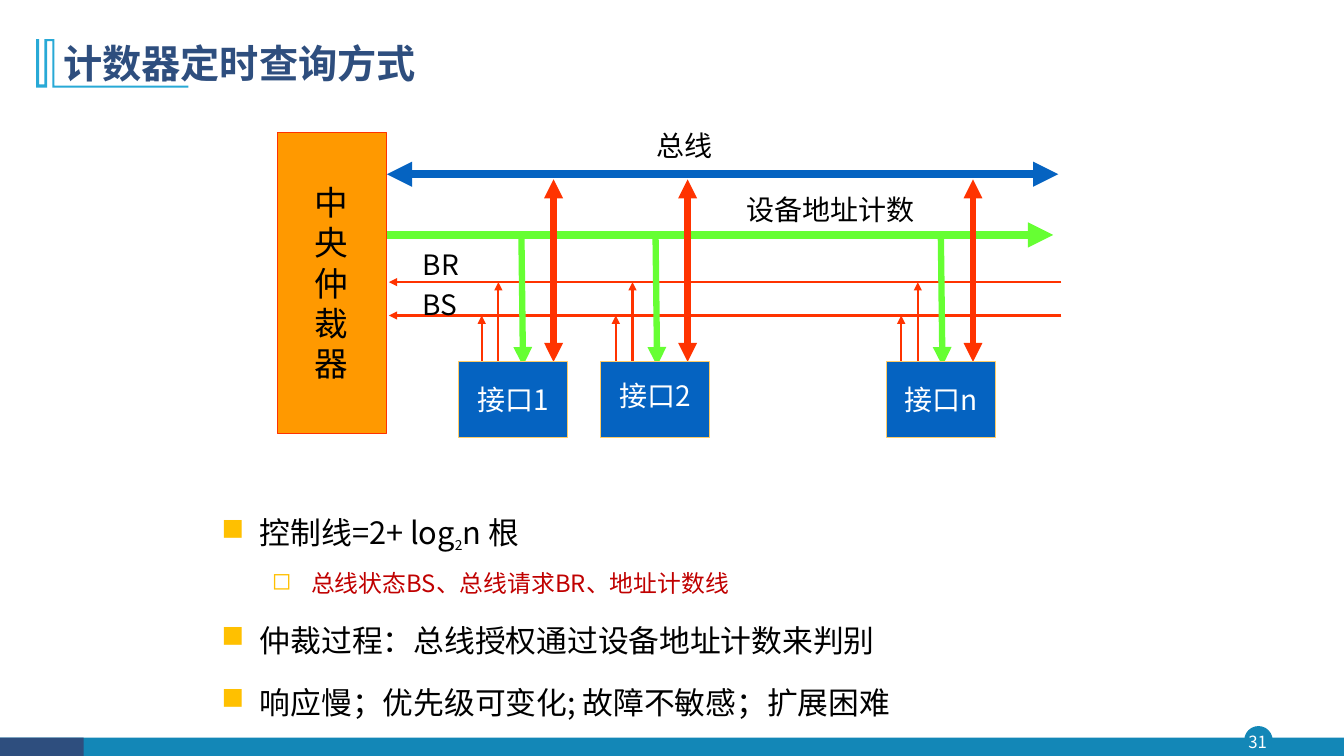
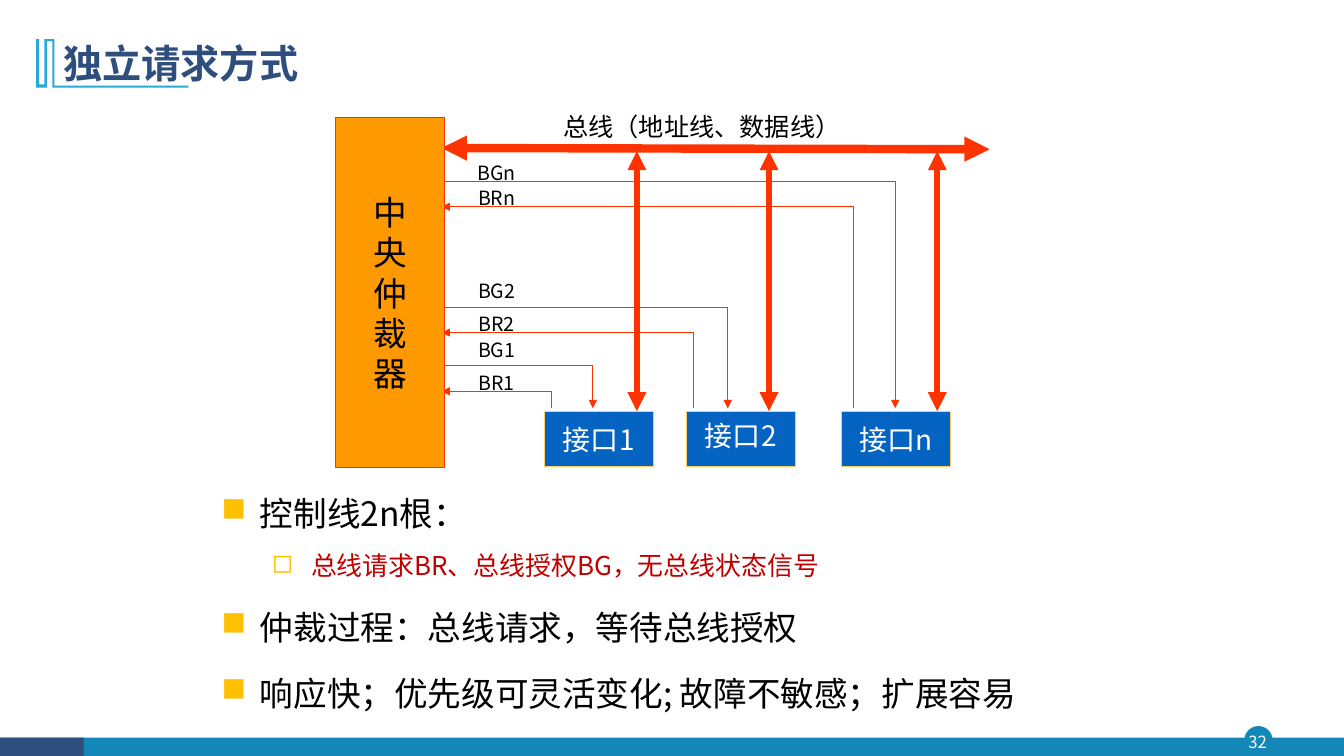
from dataclasses import dataclass

from lxml.etree import SubElement
from pptx import Presentation
from pptx.dml.color import RGBColor
from pptx.enum.shapes import MSO_CONNECTOR, MSO_SHAPE
from pptx.enum.text import MSO_ANCHOR, PP_ALIGN
from pptx.oxml.ns import qn
from pptx.util import Cm, Pt


@dataclass(frozen=True)
class Theme:
    font: str = "Noto Sans CJK SC"
    navy: str = "2E4E7E"
    teal: str = "1387B7"
    sky: str = "28A9D6"
    blue: str = "0563C1"
    red: str = "FF3300"
    green: str = "66FF33"
    orange: str = "FF9900"
    sand: str = "FFCC66"
    amber: str = "FFC000"
    crimson: str = "C00000"
    black: str = "000000"
    white: str = "FFFFFF"
    title_size: float = 28
    arbiter_size: float = 24
    label_size: float = 20
    bus_size: float = 18
    signal_size: float = 14
    page_size: float = 12
    line_height: float = 1.2
    body_spacing: float = 1.56
    thick: float = 6
    medium: float = 4.5
    thin: float = 1.5
    hair: float = 0.75


THEME = Theme()
BLOCK_WIDTH = 2.74
TITLE_MARK = [
    (1.37, 0.99), (1.37, 2.16), (4.75, 2.16), (4.75, 2.21), (1.32, 2.21),
    (1.32, 1.04), (1.19, 1.04), (1.19, 2.21), (0.91, 2.21), (0.91, 0.99),
    (0.99, 0.99), (0.99, 2.13), (1.12, 2.13), (1.12, 0.99),
]


def rgb(color):
    return RGBColor.from_string(color)


def style_paragraph(paragraph, size, color, spacing=THEME.line_height, bold=False):
    paragraph.line_spacing = Pt(round(size * spacing, 1))
    font = paragraph.font
    font.size = Pt(size)
    font.bold = bold
    font.color.rgb = rgb(color)
    font.name = THEME.font
    defaults = paragraph._p.get_or_add_pPr().find(qn("a:defRPr"))
    SubElement(defaults, qn("a:ea"), typeface=THEME.font)


def write(frame, text, size, color, align=PP_ALIGN.CENTER, bold=False):
    for index, line in enumerate(text.split("\n")):
        paragraph = frame.paragraphs[0] if index == 0 else frame.add_paragraph()
        paragraph.alignment = align
        paragraph.add_run().text = line
        style_paragraph(paragraph, size, color, bold=bold)


def add_label(slide, box, text, size, color=THEME.black, anchor=MSO_ANCHOR.TOP, **style):
    frame = slide.shapes.add_textbox(*map(Cm, box)).text_frame
    frame.word_wrap = True
    frame.vertical_anchor = anchor
    write(frame, text, size, color, **style)
    return frame


def paint(shape, fill, outline=None, width=THEME.hair):
    shape.shadow.inherit = False
    shape.fill.solid()
    shape.fill.fore_color.rgb = rgb(fill)
    if outline:
        shape.line.color.rgb = rgb(outline)
        shape.line.width = Pt(width)
    else:
        shape.line.fill.background()


def add_block(slide, box, fill, outline=None, kind=MSO_SHAPE.RECTANGLE):
    block = slide.shapes.add_shape(kind, *map(Cm, box))
    paint(block, fill, outline)
    return block


def add_text_block(slide, box, fill, outline, text, size, color):
    frame = add_block(slide, box, fill, outline).text_frame
    frame.word_wrap = False
    frame.vertical_anchor = MSO_ANCHOR.MIDDLE
    write(frame, text, size, color)
    return frame


def add_wire(slide, start, end, color, width, ends=()):
    wire = slide.shapes.add_connector(MSO_CONNECTOR.STRAIGHT, *map(Cm, start + end))
    wire.line.color.rgb = rgb(color)
    wire.line.width = Pt(width)
    properties = wire._element.spPr
    outline = properties.find(qn("a:ln"))
    for end_name in ends:
        SubElement(outline, qn(f"a:{end_name}"), type="triangle")
    SubElement(properties, qn("a:effectLst"))


def add_arrow(slide, start, end, color, width):
    add_wire(slide, start, end, color, width, ["tailEnd"])


def add_double_arrow(slide, start, end, color, width):
    add_wire(slide, start, end, color, width, ["headEnd", "tailEnd"])


def add_frame(slide, title, page):
    add_block(slide, (31.37, 18.31, 0.69, 0.69), THEME.teal, THEME.teal, MSO_SHAPE.OVAL)
    add_block(slide, (0, 18.59, 33.87, 0.46), THEME.teal)
    add_block(slide, (0, 18.59, 2.11, 0.46), THEME.navy)
    number = add_label(slide, (31.29, 18.31, 0.81, 0.79), str(page), THEME.page_size,
                       THEME.white, MSO_ANCHOR.MIDDLE)
    number.margin_left = number.margin_right = number.margin_top = number.margin_bottom = 0
    first, *rest = [(Cm(x), Cm(y)) for x, y in TITLE_MARK]
    builder = slide.shapes.build_freeform(*first)
    builder.add_line_segments(rest, close=True)
    paint(builder.convert_to_shape(), THEME.sky)
    add_label(slide, (1.35, 0.71, 29.21, 1.73), title, THEME.title_size, THEME.navy,
              MSO_ANCHOR.MIDDLE, align=PP_ALIGN.LEFT, bold=True)


def add_bullet(paragraph, symbol, indent, hanging):
    properties = paragraph._p.get_or_add_pPr()
    properties.set("marL", str(Cm(indent)))
    properties.set("indent", str(-Cm(hanging)))
    tint = SubElement(properties, qn("a:buClr"))
    SubElement(tint, qn("a:srgbClr"), val=THEME.amber)
    SubElement(properties, qn("a:buChar"), char=symbol)


def add_outline(slide, box, points, size, detail_size):
    frame = slide.shapes.add_textbox(*map(Cm, box)).text_frame
    frame.word_wrap = True
    for index, (level, text) in enumerate(points):
        paragraph = frame.paragraphs[0] if index == 0 else frame.add_paragraph()
        paragraph.alignment = PP_ALIGN.JUSTIFY
        paragraph.level = level
        if index:
            paragraph.space_before = Pt(5 if level else 10)
        if level:
            add_bullet(paragraph, "◻", 2.26, 0.99)
            style_paragraph(paragraph, detail_size, THEME.crimson, THEME.body_spacing)
        else:
            add_bullet(paragraph, "■", 0.97, 0.97)
            style_paragraph(paragraph, size, THEME.black, THEME.body_spacing)
        for position, part in enumerate(text.split("_")):
            run = paragraph.add_run()
            run.text = part
            if position % 2:
                run.font.size = Pt(detail_size)
                run.font._element.set("baseline", "-25000")


def add_arbiter(slide, left, top, height):
    add_text_block(slide, (left, top, BLOCK_WIDTH, height), THEME.orange, THEME.red,
                   "\n".join("中央仲裁器"), THEME.arbiter_size, THEME.black)


def add_interfaces(slide, lefts, top, height):
    for name, left in zip("12n", lefts):
        frame = add_text_block(slide, (left, top, BLOCK_WIDTH, height), THEME.blue, THEME.sand,
                               f"接口{name}", THEME.label_size, THEME.white)
        if name == "2":
            frame.margin_bottom = Cm(0.33)


def draw_counter_polling(slide):
    bus_y, address_y, request_y, status_y, port_y = 4.39, 5.92, 7.11, 7.95, 9.12
    add_double_arrow(slide, (9.75, bus_y), (26.67, bus_y), THEME.blue, THEME.thick)
    for y in (request_y, status_y):
        add_arrow(slide, (26.75, y), (9.8, y), THEME.red, THEME.thin)
    add_arrow(slide, (9.75, address_y), (26.54, address_y), THEME.green, THEME.thick)
    for status_x in (12.14, 15.52, 22.71):
        request_x, address_x, data_x = status_x + 0.42, status_x + 1, status_x + 1.81
        add_arrow(slide, (status_x, port_y), (status_x, status_y), THEME.red, THEME.thin)
        add_arrow(slide, (request_x, port_y), (request_x, request_y), THEME.red, THEME.thin)
        add_double_arrow(slide, (data_x, 4.52), (data_x, port_y), THEME.red, THEME.medium)
        add_arrow(slide, (address_x, address_y), (address_x + 0.04, 9.22),
                  THEME.green, THEME.medium)
    for text, left, top, width in (
        ("总线", 15.67, 3.12, 3.18),
        ("设备地址计数", 18.49, 4.72, 4.88),
        ("BR", 10.26, 6.12, 1.7),
        ("BS", 10.24, 7.11, 1.7),
    ):
        add_label(slide, (left, top, width, 1.09), text, THEME.label_size)
    add_arbiter(slide, 6.99, 3.33, 7.59)
    add_interfaces(slide, (11.56, 15.14, 22.35), port_y, 1.9)


def draw_independent_request(slide):
    left, wire_end, port_y = 11.13, 10.29, 10.36
    add_double_arrow(slide, (left, 3.73), (24.94, 3.76), THEME.red, THEME.thick)
    for data_x in (16.05, 19.38, 23.62):
        add_double_arrow(slide, (data_x, 3.81), (data_x, port_y), THEME.red, THEME.medium)
    for name, request_x, request_y, grant_x, grant_label_y in (
        ("1", 13.89, 9.86, 14.94, 8.38),
        ("2", 17.48, 8.38, 18.34, 6.91),
        ("n", 21.51, 5.21, 22.56, 3.94),
    ):
        grant_y = request_y - 0.64
        add_arrow(slide, (request_x, request_y), (left, request_y), THEME.red, THEME.hair)
        add_wire(slide, (request_x, request_y), (request_x, wire_end), THEME.red, THEME.hair)
        add_wire(slide, (left, grant_y), (grant_x, grant_y), THEME.red, THEME.hair)
        add_arrow(slide, (grant_x, grant_y), (grant_x, wire_end), THEME.red, THEME.hair)
        for signal, label_y in (("BR", grant_y), ("BG", grant_label_y)):
            add_label(slide, (11.35, label_y, 2.34, 0.84), signal + name, THEME.signal_size)
    add_label(slide, (13.46, 2.67, 8.46, 1.02), "总线（地址线、数据线）", THEME.bus_size)
    add_arbiter(slide, 8.46, 2.97, 8.81)
    add_interfaces(slide, (13.72, 17.3, 21.21), port_y, 1.4)


def main():
    deck = Presentation()
    deck.slide_width, deck.slide_height = Cm(33.87), Cm(19.05)
    blank = deck.slide_layouts[6]

    polling = deck.slides.add_slide(blank)
    add_frame(polling, "计数器定时查询方式", 31)
    add_outline(polling, (5.33, 12.6, 22.83, 5.97), [
        (0, "控制线=2+ log_2_n 根"),
        (1, "总线状态BS、总线请求BR、地址计数线"),
        (0, "仲裁过程：总线授权通过设备地址计数来判别"),
        (0, "响应慢；优先级可变化; 故障不敏感；扩展困难"),
    ], 22, 17)
    draw_counter_polling(polling)

    independent = deck.slides.add_slide(blank)
    add_frame(independent, "独立请求方式", 32)
    add_outline(independent, (5.33, 12, 22.83, 6.4), [
        (0, "控制线2n根："),
        (1, "总线请求BR、总线授权BG，无总线状态信号"),
        (0, "仲裁过程：总线请求，等待总线授权"),
        (0, "响应快；优先级可灵活变化; 故障不敏感；扩展容易"),
    ], 24, 18.5)
    draw_independent_request(independent)

    deck.save("out.pptx")


if __name__ == "__main__":
    main()
